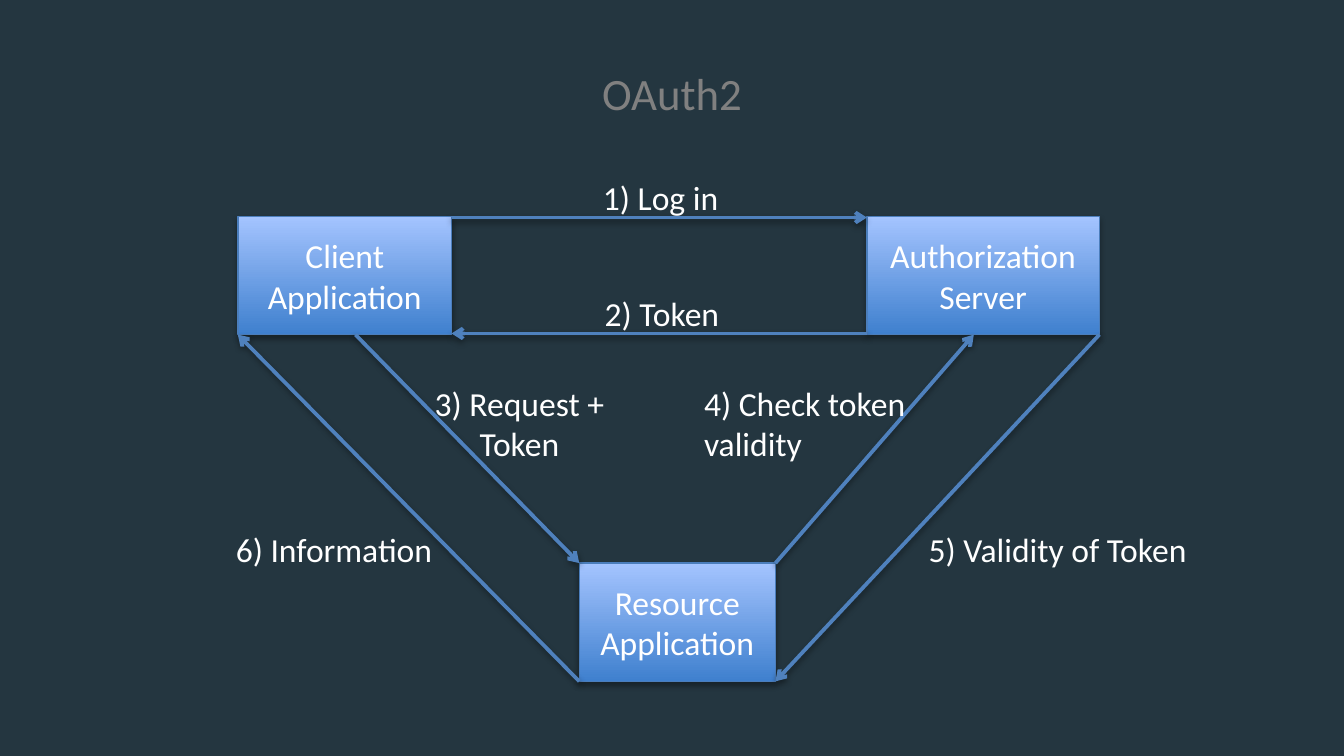
from lxml.etree import SubElement as Sub
from pptx import Presentation
from pptx.dml.color import RGBColor as RGB
from pptx.enum.shapes import MSO_CONNECTOR as LINK, MSO_SHAPE as SHAPE
from pptx.enum.text import MSO_ANCHOR as ANCHOR, MSO_AUTO_SIZE as FIT, PP_ALIGN as ALIGN
from pptx.oxml.ns import qn
from pptx.util import Inches, Pt

DARK = RGB(0x24, 0x36, 0x40)
GRAY = RGB(0x80, 0x80, 0x80)
WHITE = RGB(0xFF, 0xFF, 0xFF)
DEEP = RGB(0x3F, 0x80, 0xCE)
PALE = RGB(0xA4, 0xC4, 0xFF)
EDGE = RGB(0x4B, 0x7E, 0xBC)
BLUE = RGB(0x4F, 0x81, 0xBD)

WIDE = 10
TOP, LOW, TALL = 1.61, 4.19, 0.88
# name: left, top, width
BOXES = {
    "Client Application": (1.77, TOP, 1.59),
    "Authorization Server": (6.45, TOP, 1.73),
    "Resource Application": (4.31, LOW, 1.46),
}
# text, left, top, width, height, format
LABELS = [
    ("1) Log in", 4.14, 1.27, 1.55, 0.4, {}),
    ("2) Token", 4.15, 2.13, 1.55, 0.4, {}),
    ("3) Request + Token", 3.09, 2.8, 1.55, 0.71, {}),
    ("4) Check token\nvalidity", 5.14, 2.8, 1.73, 0.71,
     {"align": ALIGN.LEFT, "wrap": False}),
    ("5) Validity of Token", 6.67, 3.89, 2.4, 0.4, {}),
    ("6) Information", 1.61, 3.89, 1.75, 0.4, {}),
]


def write(shape, text, size=18, color=WHITE, align=ALIGN.CENTER,
          anchor=ANCHOR.TOP, wrap=True, fit=FIT.NONE):
    """Put formatted text in a shape, one paragraph per line."""
    frame = shape.text_frame
    frame.text = text
    frame.word_wrap = wrap
    frame.auto_size = fit
    frame.vertical_anchor = anchor
    for para in frame.paragraphs:
        para.alignment = align
        font = para.runs[0].font
        font.name, font.size = "Calibri", Pt(size)
        font.color.rgb = color


def shade(shape, drop, alpha):
    """Give a shape a soft black shadow that falls straight down."""
    props = shape._element.spPr
    glow = Sub(Sub(props, qn("a:effectLst")), qn("a:outerShdw"),
               blurRad=str(Pt(3.1)), dist=str(Pt(drop)), dir="5400000",
               rotWithShape="0")
    tone = Sub(glow, qn("a:srgbClr"), val="000000")
    Sub(tone, qn("a:alpha"), val=str(alpha * 1000))


def add_box(slide, text, left, top, width):
    """Draw one party of the flow as a gradient box."""
    box = slide.shapes.add_shape(SHAPE.RECTANGLE, Inches(left), Inches(top),
                                 Inches(width), Inches(TALL))
    box.fill.gradient()
    box.fill.gradient_angle = 90
    for stop, color in zip(box.fill.gradient_stops, (DEEP, PALE)):
        stop.color.rgb = color
    box.line.color.rgb = EDGE
    box.line.width = Pt(0.75)
    shade(box, 1.8, 35)
    write(box, text, anchor=ANCHOR.MIDDLE)


def add_arrow(slide, start, end):
    """Draw an arrow between two points given in inches."""
    ends = [Inches(v) for v in (*start, *end)]
    arrow = slide.shapes.add_connector(LINK.STRAIGHT, *ends)
    arrow.line.color.rgb = BLUE
    arrow.line.width = Pt(2)
    Sub(arrow.line._get_or_add_ln(), qn("a:tailEnd"), type="arrow")
    shade(arrow, 1.6, 38)


def add_label(slide, text, left, top, width, height, style):
    """Place the caption of one step."""
    label = slide.shapes.add_textbox(Inches(left), Inches(top),
                                     Inches(width), Inches(height))
    write(label, text, fit=FIT.SHAPE_TO_FIT_TEXT, **style)


def spot(name, across, down):
    """Return a point of a box from its share of width and height."""
    left, top, width = BOXES[name]
    return left + across * width, top + down * TALL


def add_title(slide, text):
    """Move and fill the title placeholder."""
    title = slide.shapes.title
    title.left, title.top = Inches(0.5), Inches(0.22)
    title.width, title.height = Inches(9), Inches(0.94)
    write(title, text, size=24, color=GRAY, anchor=ANCHOR.MIDDLE)


def main():
    """Build the flow slide."""
    deck = Presentation()
    deck.slide_width, deck.slide_height = Inches(WIDE), Inches(WIDE * 9 / 16)
    slide = deck.slides.add_slide(deck.slide_layouts[5])
    slide.background.fill.solid()
    slide.background.fill.fore_color.rgb = DARK
    add_title(slide, "OAuth2")
    for name, place in BOXES.items():
        add_box(slide, name, *place)
    client, auth, source = BOXES
    steps = [
        (spot(client, 1, 0.01), spot(auth, 0, 0.01)),
        (spot(auth, 0, 0.99), spot(client, 1, 0.99)),
        (spot(client, 0.55, 1), spot(source, 0, 0)),
        (spot(source, 1, 0), spot(auth, 0.46, 1)),
        (spot(auth, 1, 1), spot(source, 1, 1)),
        (spot(source, 0, 1), spot(client, 0, 1)),
    ]
    for (start, end), label in zip(steps, LABELS):
        add_arrow(slide, start, end)
        add_label(slide, *label)
    deck.save("out.pptx")


main()
